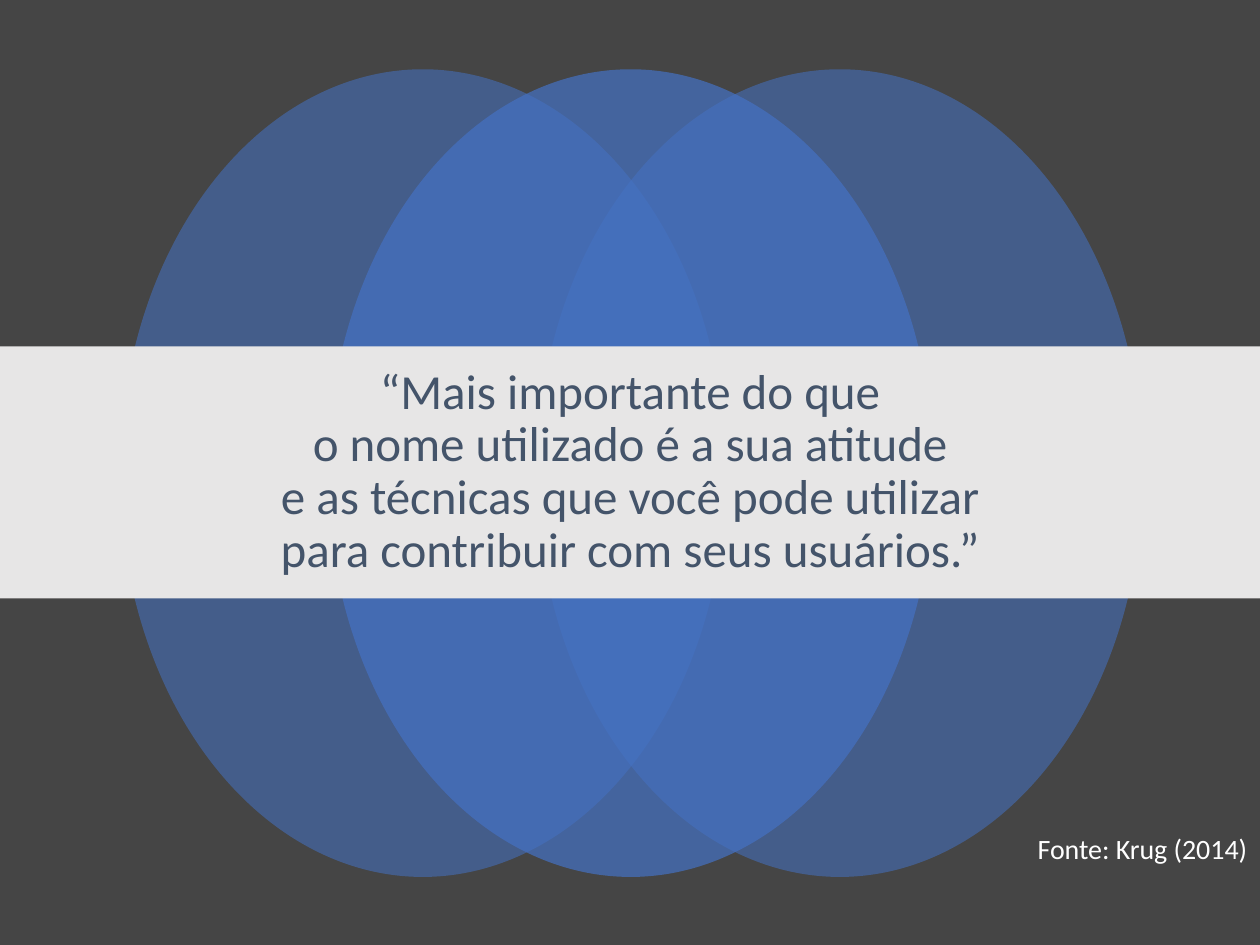
from pptx import Presentation
from pptx.dml.color import RGBColor
from pptx.enum.shapes import MSO_SHAPE
from pptx.enum.text import MSO_ANCHOR, MSO_AUTO_SIZE, PP_ALIGN
from pptx.oxml.ns import qn
from pptx.util import Inches, Pt
from lxml import etree

BLACK = RGBColor(0x00, 0x00, 0x00)
GRAY = RGBColor(0x45, 0x45, 0x45)
BLUE = RGBColor(0x44, 0x72, 0xC4)
LIGHT = RGBColor(0xE7, 0xE6, 0xE6)
SLATE = RGBColor(0x44, 0x54, 0x6A)
WHITE = RGBColor(0xFF, 0xFF, 0xFF)


def add_shape(parent, kind, box, color, alpha=100):
    """Add a borderless filled shape; alpha is its opacity in percent."""
    shape = parent.shapes.add_shape(kind, *map(Inches, box))
    shape.shadow.inherit = False
    shape.fill.solid()
    shape.fill.fore_color.rgb = color
    shape.line.fill.background()
    if alpha < 100:
        tone = shape.fill._xPr.find(qn("a:solidFill"))[0]
        etree.SubElement(tone, qn("a:alpha")).set("val", str(alpha * 1000))


def put_text(holder, text, box, size, color, align, anchor):
    """Place a placeholder in front of the shapes and fill it with text."""
    holder.left, holder.top, holder.width, holder.height = map(Inches, box)
    slide.shapes._spTree.append(holder._element)
    frame = holder.text_frame
    frame.text = text
    frame.word_wrap = True
    frame.auto_size = MSO_AUTO_SIZE.NONE
    frame.vertical_anchor = anchor
    para = frame.paragraphs[0]
    props = para._p.get_or_add_pPr()
    props.set("marL", "0")
    props.set("indent", "0")
    etree.SubElement(props, qn("a:buNone"))
    para.alignment = align
    para.line_spacing = 0.9
    para.space_before = Pt(0)
    for run in para.runs:
        run.font.name = "Calibri"
        run.font.size = Pt(size)
        run.font.color.rgb = color


deck = Presentation()
deck.slide_width, deck.slide_height = Inches(10), Inches(7.5)
slide = deck.slides.add_slide(deck.slide_layouts[1])
slide.background.fill.solid()
slide.background.fill.fore_color.rgb = BLACK

add_shape(slide, MSO_SHAPE.RECTANGLE, (0, 0, 10, 7.5), GRAY)

# Outer ellipses first, the stronger middle one on top
rings = slide.shapes.add_group_shape()
for left, alpha in ((0.95, 55), (4.26, 55), (2.6, 70)):
    add_shape(rings, MSO_SHAPE.OVAL, (left, 0.55, 4.81, 6.41), BLUE, alpha)

add_shape(slide, MSO_SHAPE.RECTANGLE, (0, 2.75, 10, 2), LIGHT)

quote = "\v".join((
    "“Mais importante do que",
    "o nome utilizado é a sua atitude",
    "e as técnicas que você pode utilizar",
    "para contribuir com seus usuários.”",
))
put_text(slide.shapes.title, quote, box=(0.54, 2.85, 8.92, 1.8), size=28,
         color=SLATE, align=PP_ALIGN.CENTER, anchor=MSO_ANCHOR.MIDDLE)
put_text(slide.placeholders[1], "Fonte: Krug (2014)", box=(2.5, 6.58, 7.5, 0.83),
         size=16, color=WHITE, align=PP_ALIGN.RIGHT, anchor=MSO_ANCHOR.TOP)

deck.save("out.pptx")
